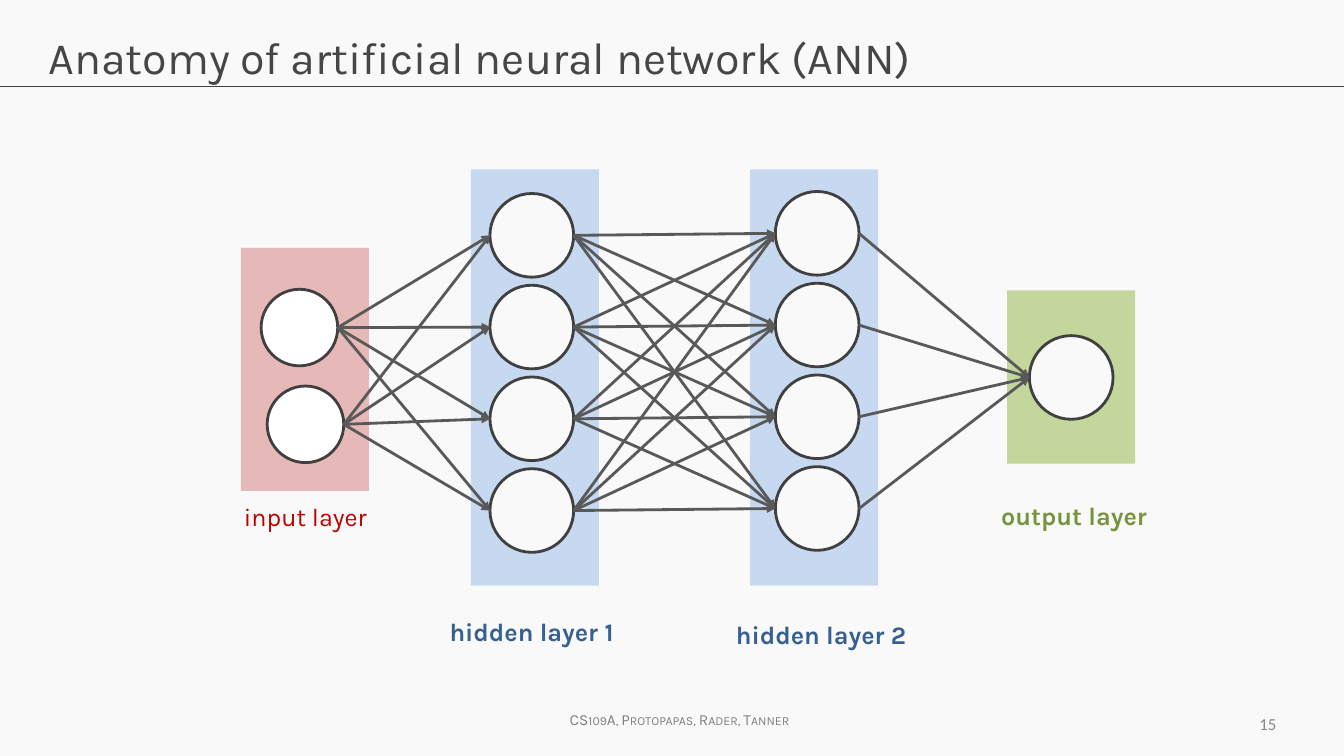
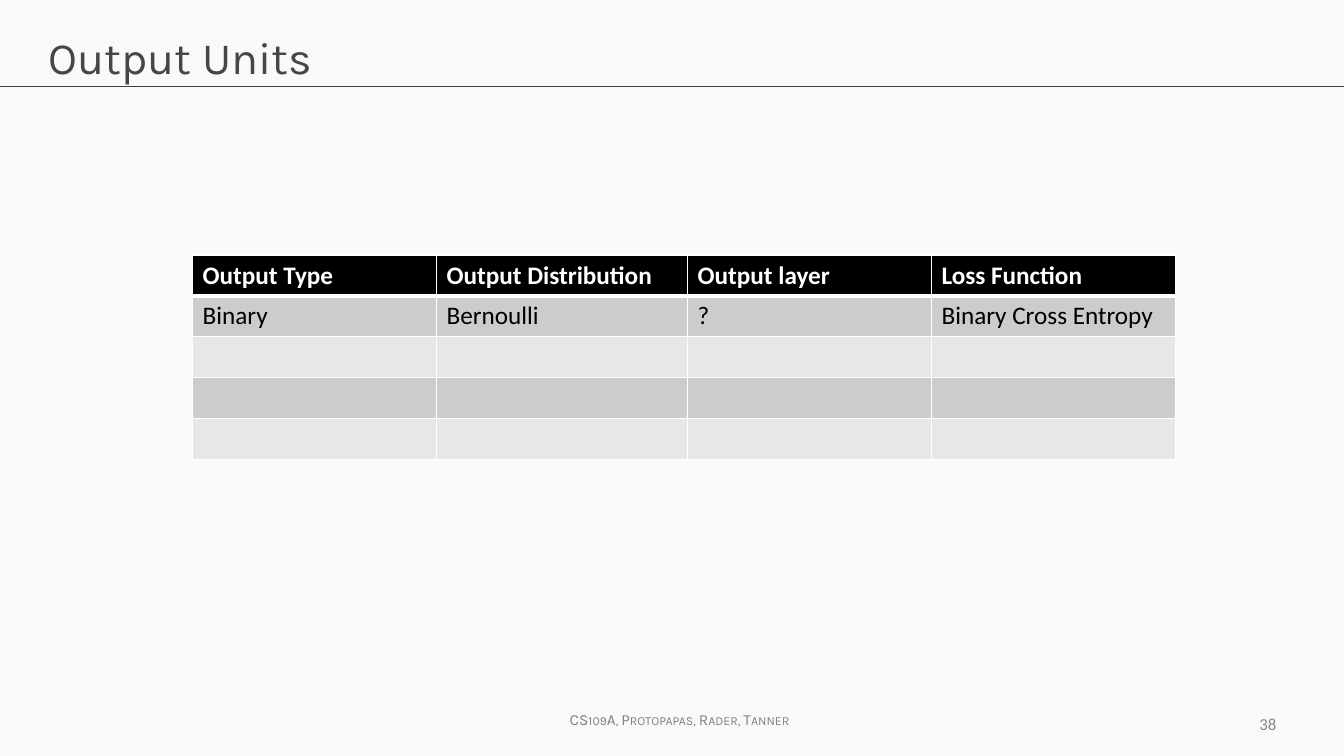
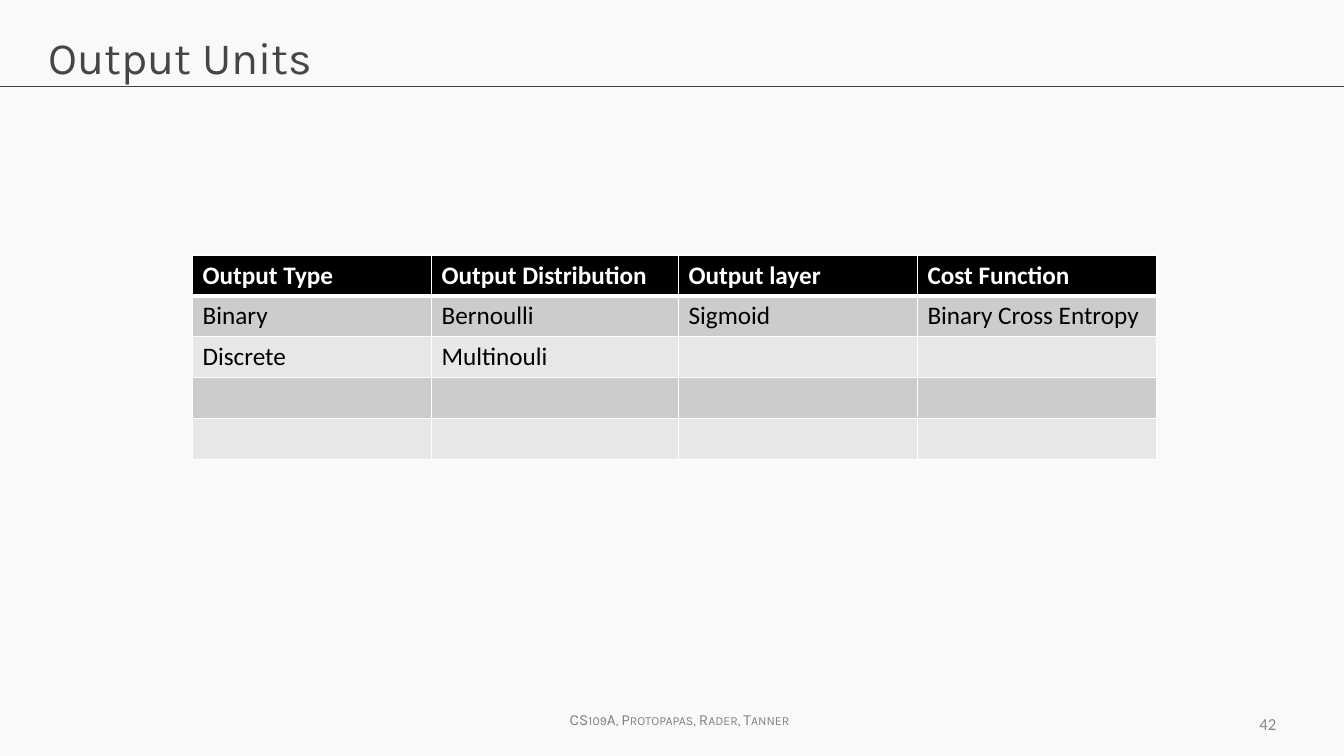
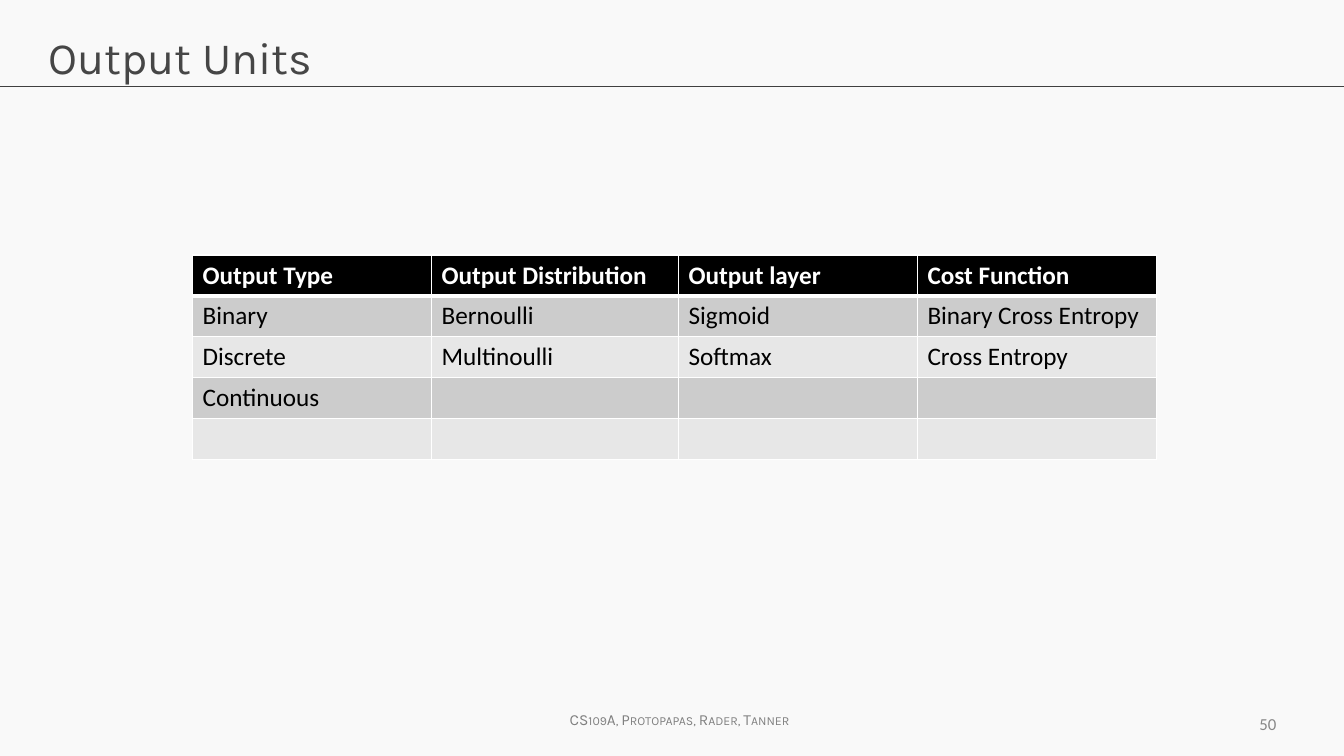
import lxml.etree
import pptx
import pptx.dml.color
import pptx.enum.shapes
import pptx.enum.text
import pptx.oxml.ns
import pptx.util

PX = 9144  # 100 px to the inch
ALIGN = pptx.enum.text.PP_ALIGN
ANCHOR = pptx.enum.text.MSO_ANCHOR
AUTO_SIZE = pptx.enum.text.MSO_AUTO_SIZE
SHAPE = pptx.enum.shapes.MSO_SHAPE

HEADING_FONT, BODY_FONT = "Karla", "Calibri"
PAPER, WHITE, BLACK = "F9F9F9", "FFFFFF", "000000"
TITLE_GREY, OUTLINE, ARROW = "464646", "404040", "595959"
FOOTER_GREY, NUMBER_GREY = "808080", "888888"
ROW_FILLS = ("CCCCCC", "E7E7E7")
RED_BAND, BLUE_BAND, GREEN_BAND = "E6B9B8", "C6D9F1", "C3D69B"
RED_TEXT, BLUE_TEXT, GREEN_TEXT = "C00000", "376092", "77933C"

FOOTER = "CS109A, Protopapas, Rader, Tanner"
BAND_WIDTH = 127
UNIT, INPUT_UNIT = 83, 76
UNIT_STEP = 91


def px(*lengths):
    return [pptx.util.Emu(length * PX) for length in lengths]


def rgb(color):
    return pptx.dml.color.RGBColor.from_string(color)


def add_xml(parent, tag, **attributes):
    return lxml.etree.SubElement(parent, pptx.oxml.ns.qn(tag), attributes)


def write_text(frame, text, size=18, font=HEADING_FONT, color=BLACK,
               bold=False, align=ALIGN.LEFT, small_caps=False):
    paragraph = frame.paragraphs[0]
    paragraph.alignment = align
    run = paragraph.add_run()
    run.text = text
    run.font.size = pptx.util.Pt(size)
    run.font.name = font
    run.font.bold = bold
    run.font.color.rgb = rgb(color)
    if small_caps:
        run.font._element.set("cap", "small")


def add_label(slide, box, text, wrap=False, inset=None, **text_format):
    frame = slide.shapes.add_textbox(*px(*box)).text_frame
    frame.word_wrap = wrap
    frame.auto_size = AUTO_SIZE.SHAPE_TO_FIT_TEXT
    if inset is not None:
        frame.vertical_anchor = ANCHOR.MIDDLE
        frame.margin_left = frame.margin_right = px(inset)[0]
        frame.margin_top = frame.margin_bottom = px(inset)[0]
    write_text(frame, text, **text_format)


def add_figure(slide, kind, box, fill, outline=None):
    shape = slide.shapes.add_shape(kind, *px(*box))
    shape.shadow.inherit = False
    shape.fill.solid()
    shape.fill.fore_color.rgb = rgb(fill)
    if outline:
        shape.line.color.rgb = rgb(outline)
        shape.line.width = pptx.util.Pt(2)
    else:
        shape.line.fill.background()
    return shape


def add_line(slide, start, end, color, width, arrow=False):
    connector = slide.shapes.add_connector(
        pptx.enum.shapes.MSO_CONNECTOR.STRAIGHT, *start, *end)
    connector.line.color.rgb = rgb(color)
    connector.line.width = pptx.util.Pt(width)
    if arrow:
        add_xml(connector.line._get_or_add_ln(), "a:tailEnd", type="triangle")
    add_xml(connector.element.spPr, "a:effectLst")


def set_up_template(presentation):
    """Set page size, background and title place; return the layout used."""
    presentation.slide_width, presentation.slide_height = px(1333, 750)
    background = presentation.slide_master.background.fill
    background.solid()
    background.fore_color.rgb = rgb(PAPER)
    layout = presentation.slide_layouts.get_by_name("Title Only")
    title = layout.placeholders[0]
    title.left, title.top, title.width, title.height = px(38, 24, 1257, 84)
    title.text_frame.vertical_anchor = ANCHOR.TOP
    return layout


def add_slide(presentation, layout, title, number):
    slide = presentation.slides.add_slide(layout)
    frame = slide.shapes.title.text_frame
    frame.auto_size = AUTO_SIZE.NONE
    frame.vertical_anchor = ANCHOR.TOP
    write_text(frame, title, size=32, color=TITLE_GREY)
    add_line(slide, px(0, 86), px(1333, 86), OUTLINE, 0.75)
    add_label(slide, (549, 700, 250, 29), FOOTER, size=11,
              color=FOOTER_GREY, align=ALIGN.CENTER, small_caps=True)
    add_label(slide, (1243, 705, 28, 27), str(number), inset=5, size=12,
              font=BODY_FONT, color=NUMBER_GREY, align=ALIGN.RIGHT)
    return slide


def add_units(slide, places, size, fill):
    return [add_figure(slide, SHAPE.OVAL, (left, top, size, size), fill, OUTLINE)
            for left, top in places]


def unit_column(left, top):
    return [(left, top + row * UNIT_STEP) for row in range(4)]


def connect_layers(slide, sources, targets):
    """Draw an arrow from every source unit to every target unit."""
    for source in sources:
        start = source.left + source.width, source.top + source.height // 2
        for target in targets:
            end = target.left, target.top + target.height // 2
            add_line(slide, start, end, ARROW, 2, arrow=True)


def add_network(slide):
    bands = [(239, 246, 241, RED_BAND), (467, 168, 413, BLUE_BAND),
             (744, 168, 413, BLUE_BAND), (999, 288, 172, GREEN_BAND)]
    for left, top, height, color in bands:
        add_figure(slide, SHAPE.RECTANGLE, (left, top, BAND_WIDTH, height), color)

    layers = [
        add_units(slide, [(259, 287), (265, 383)], INPUT_UNIT, WHITE),
        add_units(slide, unit_column(486, 192), UNIT, PAPER),
        add_units(slide, unit_column(769, 190), UNIT, PAPER),
        add_units(slide, [(1021, 333)], UNIT, PAPER),
    ]
    for sources, targets in zip(layers, layers[1:]):
        connect_layers(slide, sources, targets)

    labels = [("input layer", 232, 492, RED_TEXT, False),
              ("hidden layer 1", 436, 607, BLUE_TEXT, True),
              ("hidden layer 2", 720, 609, BLUE_TEXT, True),
              ("output layer", 983, 491, GREEN_TEXT, True)]
    for text, left, top, color, bold in labels:
        add_label(slide, (left, top, 245, 43), text, wrap=True,
                  color=color, bold=bold)


def set_borders(cell, top, bottom):
    properties = cell._tc.get_or_add_tcPr()
    for side, width in (("L", 1), ("R", 1), ("T", top), ("B", bottom)):
        line = add_xml(properties, f"a:ln{side}", w=str(pptx.util.Pt(width)))
        add_xml(add_xml(line, "a:solidFill"), "a:srgbClr", val=WHITE)


def add_output_table(slide, widths, header, rows, row_count=5):
    """Draw the header and rows, then blank rows up to row_count."""
    blank = [""] * len(header)
    content = [header, *rows] + [blank] * (row_count - 1 - len(rows))
    table = slide.shapes.add_table(
        row_count, len(header), *px(191, 253, sum(widths), 203)).table
    for column, width in zip(table.columns, px(*widths)):
        column.width = width
    for row, texts in enumerate(content):
        is_header = row == 0
        for column, text in enumerate(texts):
            cell = table.cell(row, column)
            set_borders(cell, top=3 if row == 1 else 1,
                        bottom=3 if is_header else 1)
            cell.fill.solid()
            cell.fill.fore_color.rgb = rgb(
                BLACK if is_header else ROW_FILLS[(row - 1) % 2])
            if text:
                write_text(cell.text_frame, text, font=BODY_FONT,
                           bold=is_header, color=WHITE if is_header else BLACK)


def main():
    presentation = pptx.Presentation()
    layout = set_up_template(presentation)
    add_network(add_slide(presentation, layout,
                          "Anatomy of artificial neural network (ANN)", 15))

    wide, narrow = (242, 249, 242, 242), (237, 245, 237, 237)
    binary = ["Binary", "Bernoulli", "Sigmoid", "Binary Cross Entropy"]
    tables = [
        (38, wide, "Loss Function",
         [["Binary", "Bernoulli", "?", "Binary Cross Entropy"]]),
        (42, narrow, "Cost Function",
         [binary, ["Discrete", "Multinouli", "", ""]]),
        (50, narrow, "Cost Function",
         [binary, ["Discrete", "Multinoulli", "Softmax", "Cross Entropy"],
          ["Continuous", "", "", ""]]),
    ]
    for number, widths, last_heading, rows in tables:
        slide = add_slide(presentation, layout, "Output Units", number)
        header = ["Output Type", "Output Distribution", "Output layer", last_heading]
        add_output_table(slide, widths, header, rows)
    presentation.save("out.pptx")


if __name__ == "__main__":
    main()
